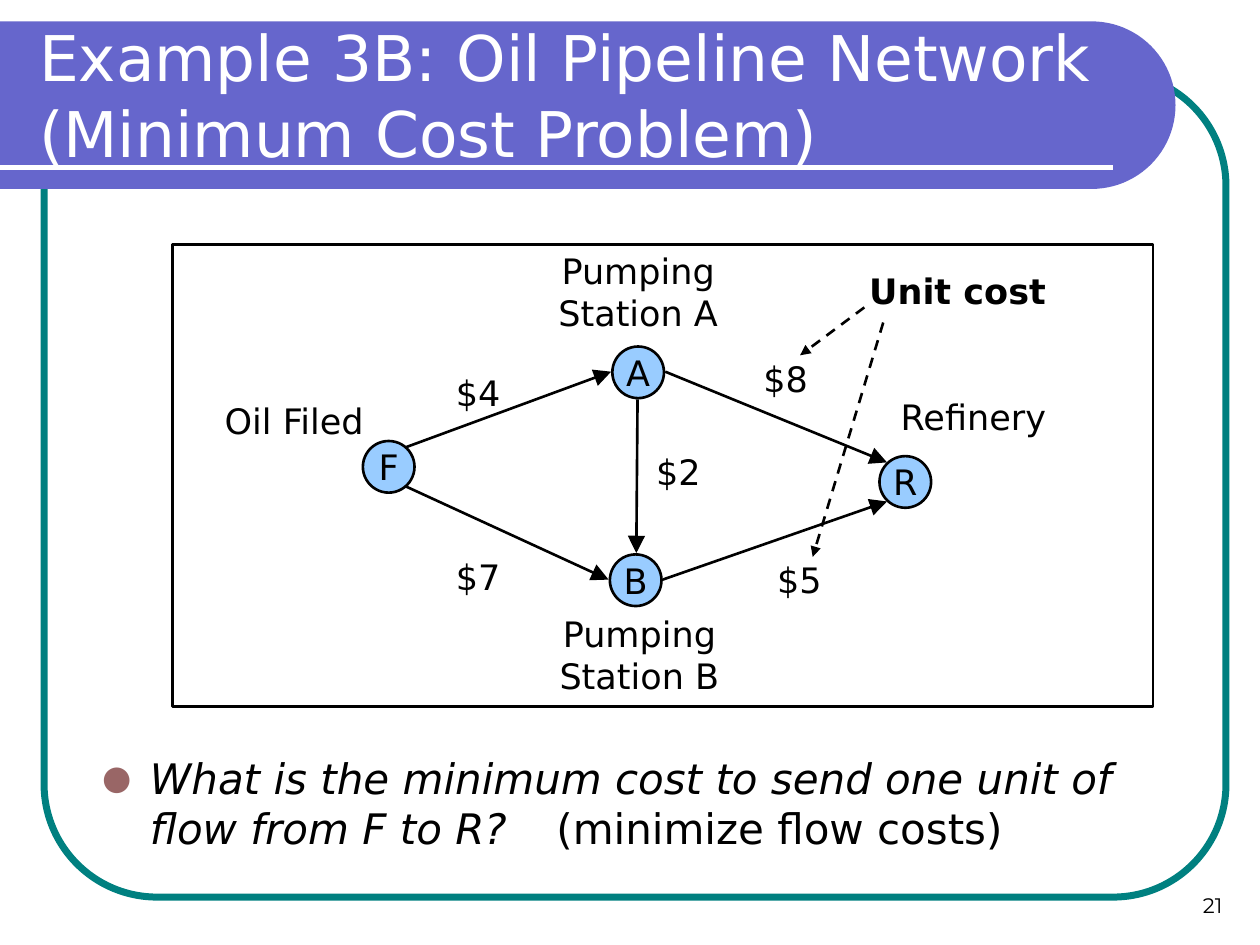
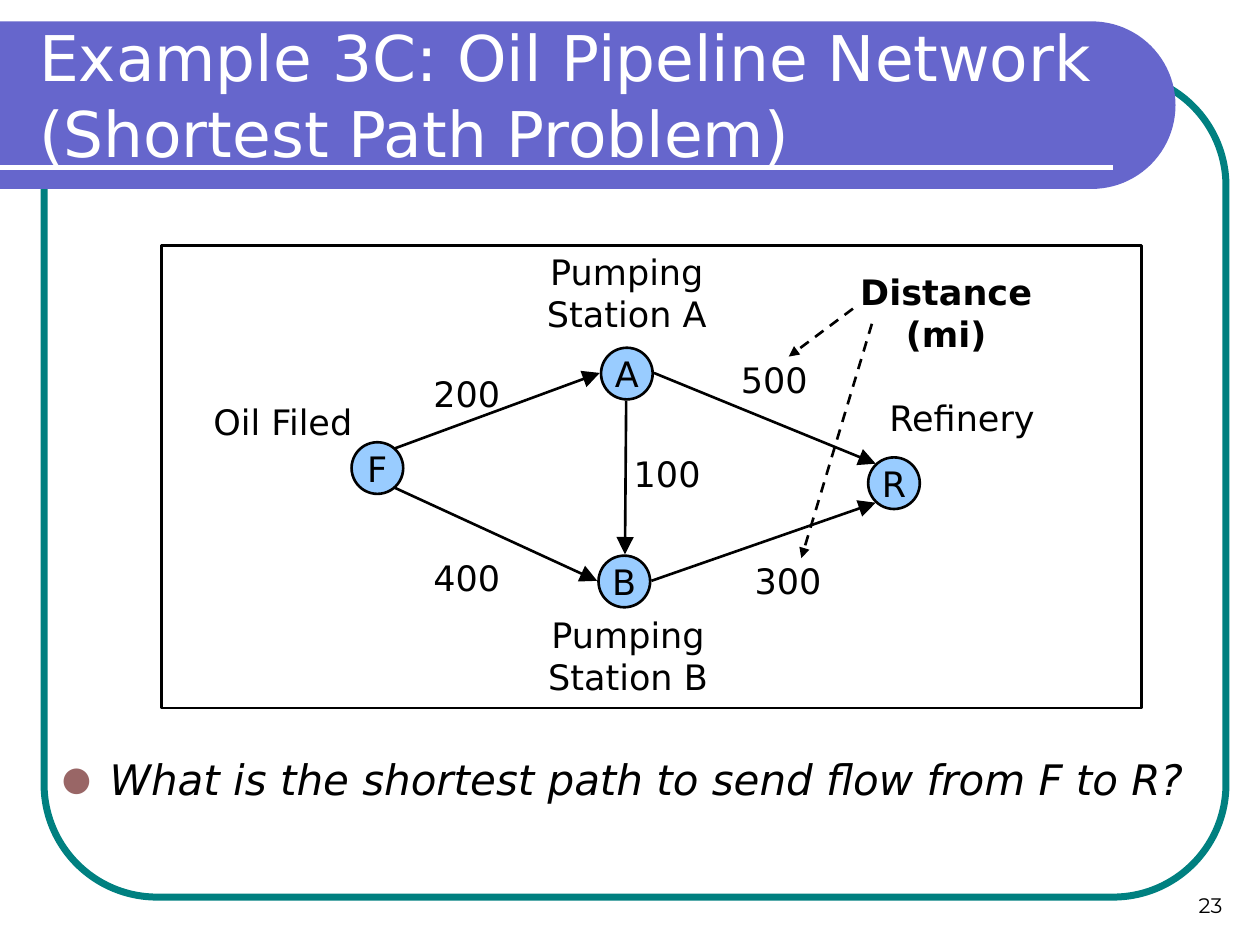
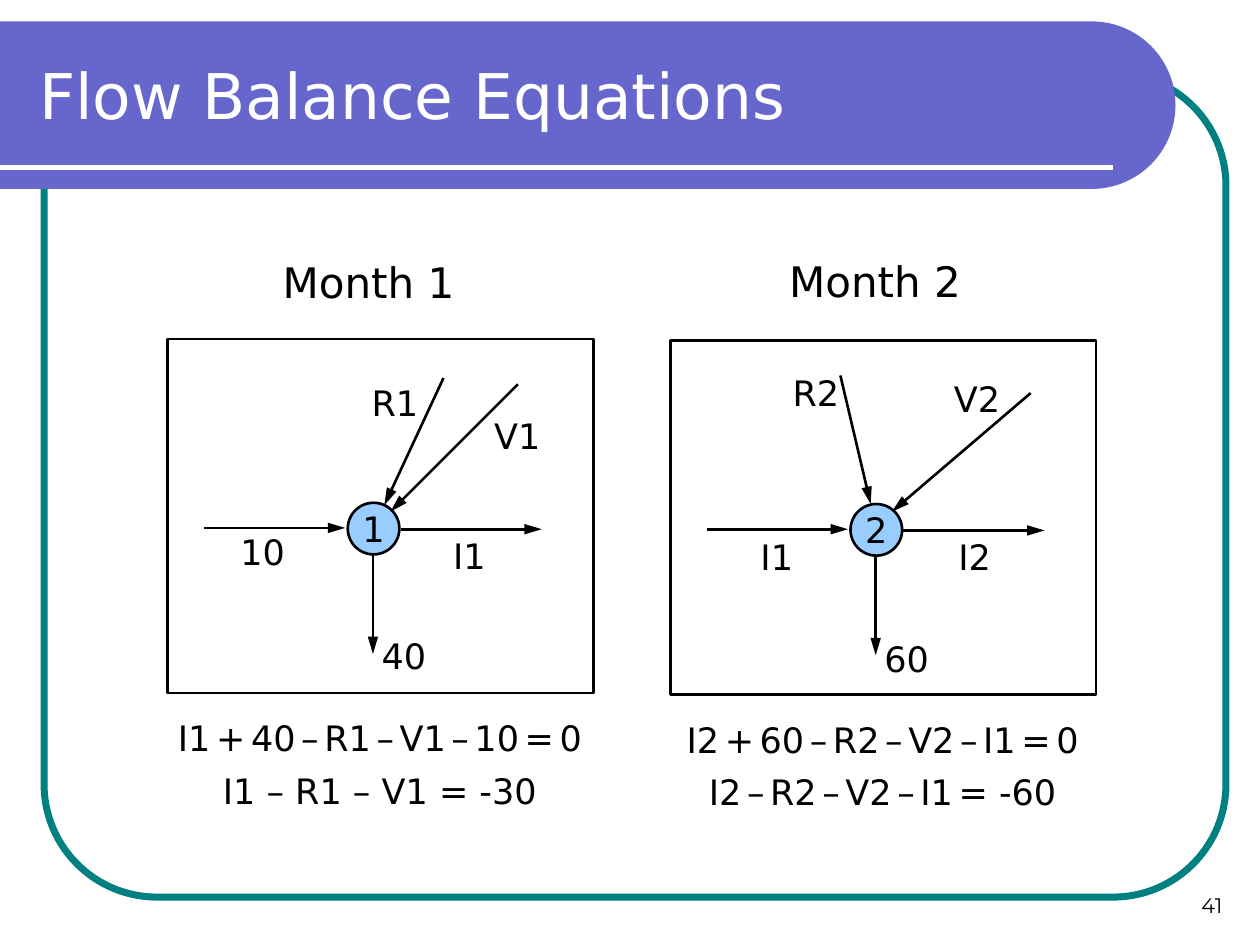
from math import cos, pi, sin

from pptx import Presentation
from pptx.dml.color import RGBColor
from pptx.enum.dml import MSO_LINE
from pptx.enum.shapes import MSO_CONNECTOR, MSO_SHAPE
from pptx.enum.text import MSO_ANCHOR, MSO_AUTO_SIZE, PP_ALIGN
from pptx.oxml import parse_xml
from pptx.oxml.ns import nsdecls
from pptx.util import Inches, Pt

BLACK = RGBColor(0x00, 0x00, 0x00)
WHITE = RGBColor(0xFF, 0xFF, 0xFF)
TEAL = RGBColor(0x00, 0x80, 0x80)
VIOLET = RGBColor(0x66, 0x66, 0xCC)
SKY = RGBColor(0x99, 0xCC, 0xFF)
ROSE = RGBColor(0x99, 0x66, 0x66)
FONT = "DejaVu Sans"
NODE = 0.41

NETS = [
    dict(title="Example 3B: Oil Pipeline Network (Minimum Cost Problem)",
         page="21", shift=(0, 0), costs=["$4", "$7", "$2", "$5", "$8"],
         key="Unit cost", body=(0.71, 5.92, 8.69, 0.88),
         ask=["What is the minimum cost to send one unit of flow from F to R?\t ",
              "(minimize flow costs)"]),
    dict(title="Example 3C: Oil Pipeline Network (Shortest Path Problem)",
         page="23", shift=(-0.09, 0.01),
         costs=["200", "400", "100", "300", "500"],
         key="Distance (mi)", body=(0.39, 5.93, 9.36, 0.57),
         ask=["What is the shortest path to send flow from F to R?"]),
]
NODES = [("F", 2.88, 3.5), ("A", 4.86, 2.75), ("B", 4.84, 4.4), ("R", 6.98, 3.62)]
PIPES = [(3.22, 3.55, 4.85, 2.95), (3.22, 3.86, 4.83, 4.6),
         (5.28, 2.95, 7.04, 3.67), (5.26, 4.6, 7.04, 3.98),
         (5.06, 3.17, 5.05, 4.39)]
PLACES = [("Oil Filed", 1.64, 3.12, 1.39, 0.43), ("Refinery", 7.03, 3.09, 1.39, 0.43),
          ("Pumping Station A", 3.99, 1.93, 2.15, 0.77),
          ("Pumping Station B", 4, 4.81, 2.15, 0.77)]
SPOTS = [(3.39, 2.9), (3.39, 4.36), (4.98, 3.53), (5.94, 4.38), (5.83, 2.79)]
HINTS = [(6.86, 2.44, 6.35, 2.82), (7.01, 2.56, 6.45, 4.42)]

FLOWS = [(0.29, 1.5, 1.41, 1.5), (1.85, 1.51, 2.97, 1.51), (1.63, 1.71, 1.63, 2.5)]
MONTHS = [
    dict(name="Month 1", head=(1.88, 1.99), left=1.33, top=2.69, node="1",
         flows=[(3.52, 3, 3.05, 4.01), (4.11, 3.05, 3.1, 4.06)],
         tags=[("10", 1.78, 4.16), ("I1", 3.42, 4.19), ("40", 2.9, 4.99),
               ("R1", 2.83, 2.98), ("V1", 3.8, 3.24)],
         sums=[("I1 + 40 – R1 – V1 – 10 = 0", 10), ("I1 – R1 – V1 = -30", 0)]),
    dict(name="Month 2", head=(5.9, 1.98), left=5.32, top=2.7, node="2",
         flows=[(6.67, 2.98, 6.91, 4), (8.18, 3.12, 7.08, 4.06)],
         tags=[("I1", 5.86, 4.2), ("I2", 7.43, 4.2), ("60", 6.89, 5.01),
               ("R2", 6.17, 2.9), ("V2", 7.45, 2.95)],
         sums=[("I2 + 60 – R2 – V2 – I1 = 0", 10), ("I2 – R2 – V2 – I1 = -60", 7)]),
]


def style(para, size, color=BLACK, align=PP_ALIGN.CENTER, font=FONT, bold=False):
    para.alignment = align
    for run in para.runs:
        run.font.name = font
        run.font.size = Pt(size)
        run.font.color.rgb = color
        run.font.bold = bold


def paint(shape, fill=None, line=None, width=1.5):
    shape.shadow.inherit = False
    if fill is None:
        shape.fill.background()
    else:
        shape.fill.solid()
        shape.fill.fore_color.rgb = fill
    if line is None:
        shape.line.fill.background()
    else:
        shape.line.color.rgb = line
        shape.line.width = Pt(width)
    return shape


def label(slide, text, left, top, wide, high, size=20, **look):
    box = slide.shapes.add_textbox(*map(Inches, (left, top, wide, high)))
    frame = box.text_frame
    frame.word_wrap = True
    frame.text = text
    style(frame.paragraphs[0], size, **look)
    return frame


def panel(slide, left, top, wide, high):
    box = slide.shapes.add_shape(
        MSO_SHAPE.RECTANGLE, *map(Inches, (left, top, wide, high)))
    paint(box, line=BLACK)


def node(slide, text, left, top):
    disc = slide.shapes.add_shape(
        MSO_SHAPE.OVAL, *map(Inches, (left, top, NODE, NODE)))
    paint(disc, SKY, BLACK)
    frame = disc.text_frame
    frame.word_wrap = False
    frame.vertical_anchor = MSO_ANCHOR.MIDDLE
    frame.text = text
    style(frame.paragraphs[0], 20)


def stroke(slide, ends, color=BLACK, width=1.5):
    line = slide.shapes.add_connector(MSO_CONNECTOR.STRAIGHT, *map(Inches, ends))
    line.line.color.rgb = color
    line.line.width = Pt(width)
    line.element.spPr.append(parse_xml(f"<a:effectLst {nsdecls('a')}/>"))
    return line


def arrow(slide, ends, wide="lg", long="lg", dash=False):
    line = stroke(slide, ends)
    if dash:
        line.line.dash_style = MSO_LINE.DASH
    line.line.fill.solid()
    line.line.color.rgb = BLACK
    line.element.spPr.find("{*}ln").append(parse_xml(
        f'<a:tailEnd {nsdecls("a")} type="triangle" w="{wide}" len="{long}"/>'))


def place(holder, left, top, wide, high):
    holder.left, holder.top = Inches(left), Inches(top)
    holder.width, holder.height = Inches(wide), Inches(high)
    holder.text_frame.auto_size = MSO_AUTO_SIZE.NONE
    holder.text_frame.word_wrap = True
    return holder.text_frame


def start(deck, kind, title, page):
    slide = deck.slides.add_slide(deck.slide_layouts[kind])
    frame = place(slide.shapes.title, 0.21, 0.25, 8.77, 1)
    frame.vertical_anchor = MSO_ANCHOR.MIDDLE
    frame.text = title
    style(frame.paragraphs[0], 36, WHITE, PP_ALIGN.LEFT)
    foot = label(slide, page, 7.47, 6.83, 2.33, 0.5, 12,
                 align=PP_ALIGN.RIGHT, font="Montserrat")
    foot.vertical_anchor = MSO_ANCHOR.BOTTOM
    return slide


def dress(deck, slide):
    ring = slide.shapes.add_shape(
        MSO_SHAPE.ROUNDED_RECTANGLE, *map(Inches, (0.35, 0.58, 9.38, 6.54)))
    ring.adjustments[0] = 0.137
    paint(ring, line=TEAL, width=4)
    rad, steps = 0.665, 48
    turns = [pi * (step / steps - 0.5) for step in range(steps + 1)]
    arc = [(8.665 + rad * cos(turn), 0.835 + rad * sin(turn)) for turn in turns]
    pen = slide.shapes.build_freeform(0, Inches(0.17))
    pen.add_line_segments([(Inches(x), Inches(y)) for x, y in arc + [(0, 1.5)]])
    band = paint(pen.convert_to_shape(), VIOLET)
    rule = stroke(slide, (0, 1.33, 8.83, 1.33), WHITE, 3)
    tree = deck.slide_master.shapes.element
    for spot, part in enumerate((ring, band, rule)):
        part.element.xpath(".//p:cNvPr")[0].set("id", str(20 + spot))
        tree.insert(2 + spot, part.element)


def bullet(slide, texts, spot):
    frame = place(slide.placeholders[1], *spot)
    para = frame.paragraphs[0]
    for text in texts:
        para.add_run().text = text
    style(para, 24, align=PP_ALIGN.LEFT)
    para.runs[0].font.italic = True
    prop = para._p.get_or_add_pPr()
    prop.set("marL", str(Inches(0.38)))
    prop.set("indent", str(Inches(-0.38)))
    for tag in (f'<a:buClr {nsdecls("a")}><a:srgbClr val="{ROSE}"/></a:buClr>',
                f'<a:buSzPct {nsdecls("a")} val="80000"/>',
                f'<a:buFont {nsdecls("a")} typeface="{FONT}"/>',
                f'<a:buChar {nsdecls("a")} char="●"/>'):
        prop.append(parse_xml(tag))


def network(slide, net):
    dx, dy = net["shift"]
    panel(slide, 1.37 + dx, 1.94 + dy, 7.78, 3.67)
    for text, x, y in NODES:
        node(slide, text, x + dx, y + dy)
    for x, y, u, v in PIPES:
        arrow(slide, (x + dx, y + dy, u + dx, v + dy))
    for text, x, y, wide, high in PLACES:
        label(slide, text, x + dx, y + dy, wide, high)
    for text, (x, y) in zip(net["costs"], SPOTS):
        label(slide, text, x + dx, y + dy, 0.81, 0.43)
    label(slide, net["key"], 6.7 + dx, 2.09 + dy, 1.8, 0.43, bold=True)
    for x, y, u, v in HINTS:
        arrow(slide, (x + dx, y + dy, u + dx, v + dy), "med", "med", True)


def balance(slide, month):
    left, top = month["left"], month["top"]
    panel(slide, left, top, 3.38, 2.81)
    node(slide, month["node"], left + 1.43, top + 1.3)
    fixed = [(left + x, top + y, left + u, top + v) for x, y, u, v in FLOWS]
    for ends in fixed + month["flows"]:
        arrow(slide, ends, "med")
    for text, x, y in month["tags"]:
        label(slide, text, x, y, 0.61, 0.43)
    label(slide, month["name"], *month["head"], 2.09, 0.5, 24)
    frame = label(slide, "", left - 0.19, top + 2.95, 3.75, 0.87)
    paras = [frame.paragraphs[0], frame.add_paragraph()]
    paras[1].space_before = Pt(6)
    for para, (text, thin) in zip(paras, month["sums"]):
        for spot, word in enumerate(text.split(" ", thin)):
            if spot:
                para.add_run().text = " "
            para.add_run().text = word
        style(para, 20)
        for run in para.runs:
            if run.text == " ":
                run.font.size = Pt(10)


deck = Presentation()
deck.slide_width, deck.slide_height = Inches(10), Inches(7.5)
for net in NETS:
    slide = start(deck, 1, net["title"], net["page"])
    network(slide, net)
    bullet(slide, net["ask"], net["body"])
slide = start(deck, 5, "Flow Balance Equations", "41")
for month in MONTHS:
    balance(slide, month)
dress(deck, slide)
deck.save("out.pptx")
